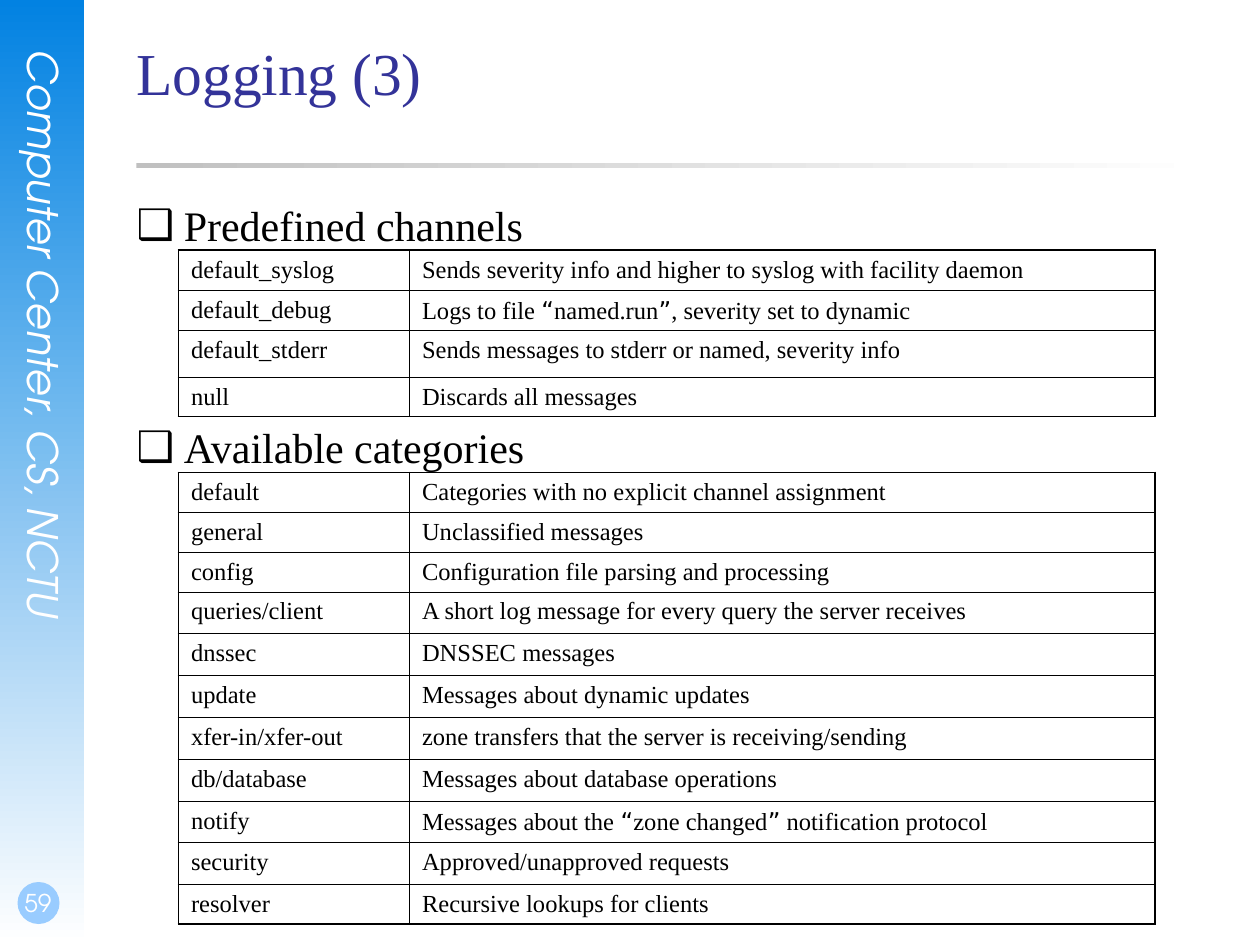
from itertools import groupby

from lxml.etree import SubElement
from pptx import Presentation
from pptx.dml.color import RGBColor
from pptx.enum.shapes import MSO_SHAPE as Shape
from pptx.enum.text import MSO_ANCHOR as Anchor, MSO_AUTO_SIZE as AutoSize, PP_ALIGN as Align
from pptx.oxml import parse_xml
from pptx.oxml.ns import nsdecls, qn
from pptx.util import Pt

COLORS = {
    "black": "000000",
    "white": "FFFFFF",
    "title": "333399",
    "sidebar": "0282E2",
    "badge": "99CCFF",
    "rule": "C0C0C0",
}
SERIF, SANS, QUOTE_FONT = "Times New Roman", "TeX Gyre Adventor", "DejaVu Sans"
THIN, THICK = 0.45, 1.08
COLUMN_WIDTHS = (132, 426)

CHANNELS = [
    ("default_syslog", "Sends severity info and higher to syslog with facility daemon"),
    ("default_debug", "Logs to file “named.run”, severity set to dynamic"),
    ("default_stderr", "Sends messages to stderr or named, severity info"),
    ("null", "Discards all messages"),
]
CATEGORIES = [
    ("default", "Categories with no explicit channel assignment"),
    ("general", "Unclassified messages"),
    ("config", "Configuration file parsing and processing"),
    ("queries/client", "A short log message for every query the server receives"),
    ("dnssec", "DNSSEC messages"),
    ("update", "Messages about dynamic updates"),
    ("xfer-in/xfer-out", "zone transfers that the server is receiving/sending"),
    ("db/database", "Messages about database operations"),
    ("notify", "Messages about the “zone changed” notification protocol"),
    ("security", "Approved/unapproved requests"),
    ("resolver", "Recursive lookups for clients"),
]


def rgb(name):
    """Return the named palette colour."""
    return RGBColor.from_string(COLORS[name])


def style(font, name, size, color, italic=False):
    """Set the face, size and colour of a font."""
    font.name, font.size, font.italic = name, Pt(size), italic
    font.color.rgb = rgb(color)


def place(item, left, top, width, height):
    """Move and size an element."""
    item.left, item.top, item.width, item.height = map(Pt, (left, top, width, height))


def set_margins(frame, left=0, top=0, right=0, bottom=0):
    """Set the four insets of a text frame or cell."""
    frame.margin_left, frame.margin_top = Pt(left), Pt(top)
    frame.margin_right, frame.margin_bottom = Pt(right), Pt(bottom)


def add_plain_shape(page, kind, bounds):
    """Add a shape without outline or shadow."""
    shape = page.shapes.add_shape(kind, *map(Pt, bounds))
    shape.shadow.inherit = False
    shape.line.fill.background()
    return shape


def add_fade(page, bounds, color, angle):
    """Add a rectangle that fades to white."""
    fill = add_plain_shape(page, Shape.RECTANGLE, bounds).fill
    fill.gradient()
    fill.gradient_angle = angle
    for stop, name in zip(fill.gradient_stops, (color, "white")):
        stop.color.rgb = rgb(name)


def add_label(page, bounds, text, size, align, italic=False):
    """Add a white label and return its frame."""
    frame = page.shapes.add_textbox(*map(Pt, bounds)).text_frame
    frame.word_wrap = True
    set_margins(frame)
    para = frame.paragraphs[0]
    para.text, para.alignment = text, align
    style(para.font, SANS, size, "white", italic)
    return frame


def add_sidebar(page):
    """Draw the sidebar with its vertical name and page number."""
    add_fade(page, (0, 0, 48, 540), "sidebar", 270)
    name = add_label(page, (10.5, 28, 29, 347), "Computer Center, CS, NCTU", 24, Align.LEFT, True)
    name._txBody.bodyPr.set("vert", "eaVert")
    badge = add_plain_shape(page, Shape.OVAL, (10, 504, 24, 24))
    badge.fill.solid()
    badge.fill.fore_color.rgb = rgb("badge")
    number = add_label(page, (0, 492, 42, 36), "59", 14, Align.CENTER)
    number.vertical_anchor = Anchor.BOTTOM
    set_margins(number, left=1.5, bottom=3.6)


def fill_title(title, text):
    """Place and format the title."""
    place(title, 78, 20, 612, 90)
    frame = title.text_frame
    frame.text = text
    frame.vertical_anchor, frame.auto_size = Anchor.TOP, AutoSize.NONE
    set_margins(frame, top=0.5)
    para = frame.paragraphs[0]
    para.alignment = Align.LEFT
    style(para.font, SERIF, 34, "title")


def fill_body(body, headings):
    """Write bulleted headings, each with its space before."""
    place(body, 78, 114, 612, 366)
    frame = body.text_frame
    frame.text = "\n".join(text for text, _ in headings)
    frame.auto_size = AutoSize.NONE
    set_margins(frame)
    for para, (_, gap) in zip(frame.paragraphs, headings):
        props = para._p.get_or_add_pPr()
        props.set("marL", str(Pt(27)))
        props.set("indent", str(-Pt(27)))
        bullet_color = SubElement(props, qn("a:buClr"))
        SubElement(bullet_color, qn("a:srgbClr"), val=COLORS["black"])
        SubElement(props, qn("a:buChar"), char="❑")
        para.space_before = Pt(gap)
        style(para.font, SERIF, 24, "black")


def set_borders(cell, widths):
    """Draw the left, right, top and bottom borders of a cell."""
    props = cell._tc.get_or_add_tcPr()
    for side, width in zip("LRTB", widths):
        props.append(parse_xml(
            f'<a:ln{side} {nsdecls("a")} w="{Pt(width)}"><a:solidFill>'
            f'<a:srgbClr val="{COLORS["black"]}"/></a:solidFill></a:ln{side}>'))


def write_cell(cell, text):
    """Write cell text, with curly quotes in their own font."""
    set_margins(cell, 7.2, 3.6, 7.2, 2)
    para = cell.text_frame.paragraphs[0]
    for is_quote, letters in groupby(text, key=lambda letter: letter in "“”"):
        span = para.add_run()
        span.text = "".join(letters)
        style(span.font, QUOTE_FONT if is_quote else SERIF, 14, "black")


def add_grid(page, top, entries, heights):
    """Add a two-column table with a thick outer frame."""
    bounds = (102, top, sum(COLUMN_WIDTHS), sum(heights))
    table = page.shapes.add_table(len(entries), 2, *map(Pt, bounds)).table
    table.first_row = table.horz_banding = False
    for column, width in zip(table.columns, COLUMN_WIDTHS):
        column.width = Pt(width)
    last = len(entries) - 1
    for i, (entry, height) in enumerate(zip(entries, heights)):
        table.rows[i].height = Pt(height)
        for j, text in enumerate(entry):
            cell = table.cell(i, j)
            outer = (j == 0, j == 1, i == 0, i == last)
            set_borders(cell, [THICK if edge else THIN for edge in outer])
            cell.fill.background()
            write_cell(cell, text)


def main():
    """Build and save the slide."""
    deck = Presentation()
    deck.slide_width, deck.slide_height = Pt(720), Pt(540)
    page = deck.slides.add_slide(deck.slide_layouts[1])
    add_sidebar(page)
    add_fade(page, (78, 93, 612, 3), "rule", 0)
    fill_title(page.shapes.title, "Logging (3)")
    fill_body(page.placeholders[1], [("Predefined channels", 0), ("Available categories", 98)])
    add_grid(page, 143, CHANNELS, [23, 23, 26.5, 22.5])
    add_grid(page, 270, CATEGORIES, [22.75] * 3 + [23.9] * 7 + [22.5])
    deck.save("out.pptx")


if __name__ == "__main__":
    main()
